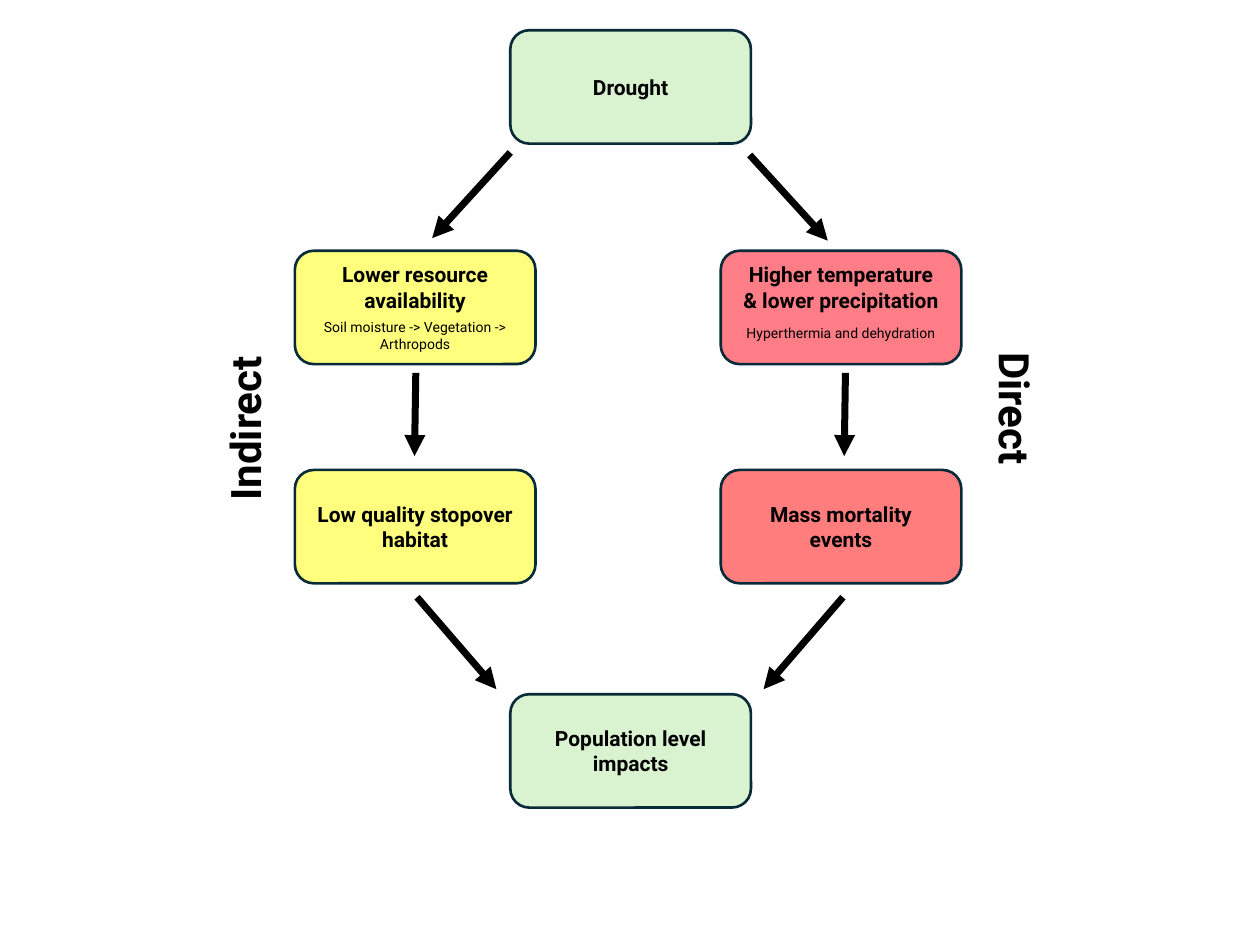
from lxml.etree import SubElement
from pptx import Presentation
from pptx.dml.color import RGBColor
from pptx.enum.shapes import MSO_CONNECTOR as Connector, MSO_SHAPE as Shape
from pptx.enum.text import MSO_AUTO_SIZE as AutoSize, PP_ALIGN as Align
from pptx.oxml.ns import qn
from pptx.util import Inches, Pt

BLACK = RGBColor(0x00, 0x00, 0x00)
NAVY = RGBColor(0x09, 0x2A, 0x39)
GREEN = RGBColor(0xD9, 0xF2, 0xD0)
YELLOW = RGBColor(0xFF, 0xFF, 0x00)
CRIMSON = RGBColor(0xFF, 0x00, 0x12)
RED = RGBColor(0xFF, 0x00, 0x00)

SLIDE_WIDTH, SLIDE_HEIGHT = 10, 7.5
CARD_WIDTH, CARD_HEIGHT = 1.91, 0.9
COLUMNS = {"indirect": 2.34, "shared": 4.05, "direct": 5.72}
ROWS = (0.24, 1.99, 3.73, 5.51)
LINE_HEIGHT = {8: 0.13, 12: 0.2, 24: 0.4}
TEXT_INSETS = 0.1

HEADING = {"name": "Roboto", "size": Pt(12), "bold": True}
DETAIL = {"name": "Roboto", "size": Pt(8), "bold": False}
PATHWAY = {"name": "Roboto", "size": Pt(24), "bold": True}

CARDS = (
    ("shared", 0, GREEN, None, "Drought", 1.31, 1, None),
    ("indirect", 1, YELLOW, 51, "Lower resource availability", 1.8, 2,
     ("Soil moisture -> Vegetation -> Arthropods", 2.11, 2, 0.49)),
    ("indirect", 2, YELLOW, 51, "Low quality stopover habitat", 1.8, 2, None),
    ("direct", 1, CRIMSON, 51, "Higher temperature & lower precipitation", 1.8, 2,
     ("Hyperthermia and dehydration", 2.04, 1, 0.54)),
    ("direct", 2, RED, 51, "Mass mortality events", 1.8, 2, None),
    ("shared", 3, GREEN, None, "Population level impacts", 1.42, 2, None),
)

ARROWS = (
    ((4.05, 1.21), (3.43, 1.89)),
    ((5.95, 1.23), (6.57, 1.91)),
    ((3.3, 2.96), (3.29, 3.62)),
    ((6.71, 2.96), (6.7, 3.62)),
    ((3.31, 4.74), (3.94, 5.47)),
    ((6.69, 4.74), (6.06, 5.47)),
)

PATHWAYS = (("Indirect", 1.94, 3.15, 270), ("Direct", 8.06, 2.99, 90))


def add_label(shapes, text, center, top, width, lines, style):
    height = lines * LINE_HEIGHT[style["size"].pt] + TEXT_INSETS
    box = shapes.add_textbox(Inches(center - width / 2), Inches(top),
                             Inches(width), Inches(height))
    frame = box.text_frame
    frame.word_wrap = True
    frame.auto_size = AutoSize.SHAPE_TO_FIT_TEXT
    paragraph = frame.paragraphs[0]
    paragraph.alignment = Align.CENTER
    run = paragraph.add_run()
    run.text = text
    for attribute, value in style.items():
        setattr(run.font, attribute, value)
    run.font.color.rgb = BLACK
    return box


def set_opacity(shape, percent):
    color = shape.fill._xPr.find(qn("a:solidFill"))[0]
    SubElement(color, qn("a:alpha")).set("val", str(percent * 1000))


def add_card(slide, column, row, color, opacity, heading, width, lines, detail):
    left, top = COLUMNS[column], ROWS[row]
    center = left + CARD_WIDTH / 2
    shapes = slide.shapes.add_group_shape().shapes
    card = shapes.add_shape(Shape.ROUNDED_RECTANGLE, Inches(left), Inches(top),
                            Inches(CARD_WIDTH), Inches(CARD_HEIGHT))
    card.shadow.inherit = False
    card.fill.solid()
    card.fill.fore_color.rgb = color
    card.line.color.rgb = NAVY
    card.line.width = Pt(1.5)
    if opacity:
        set_opacity(card, opacity)
    heading_height = lines * LINE_HEIGHT[12] + TEXT_INSETS
    offset = 0.04 if detail else (CARD_HEIGHT - heading_height) / 2
    add_label(shapes, heading, center, top + offset, width, lines, HEADING)
    if detail:
        text, detail_width, detail_lines, detail_offset = detail
        add_label(shapes, text, center, top + detail_offset,
                  detail_width, detail_lines, DETAIL)


def add_arrow(slide, start, end):
    points = [Inches(value) for value in (*start, *end)]
    arrow = slide.shapes.add_connector(Connector.STRAIGHT, *points)
    arrow.line.color.rgb = BLACK
    arrow.line.width = Pt(4)
    SubElement(arrow.line._get_or_add_ln(), qn("a:tailEnd")).set("type", "triangle")
    SubElement(arrow._element.spPr, qn("a:effectLst"))


def main():
    presentation = Presentation()
    presentation.slide_width = Inches(SLIDE_WIDTH)
    presentation.slide_height = Inches(SLIDE_HEIGHT)
    slide = presentation.slides.add_slide(presentation.slide_layouts[6])
    for card in CARDS:
        add_card(slide, *card)
    for start, end in ARROWS:
        add_arrow(slide, start, end)
    for text, center, top, rotation in PATHWAYS:
        label = add_label(slide.shapes, text, center, top, 1.92, 1, PATHWAY)
        label.rotation = rotation
    presentation.save("out.pptx")


if __name__ == "__main__":
    main()
